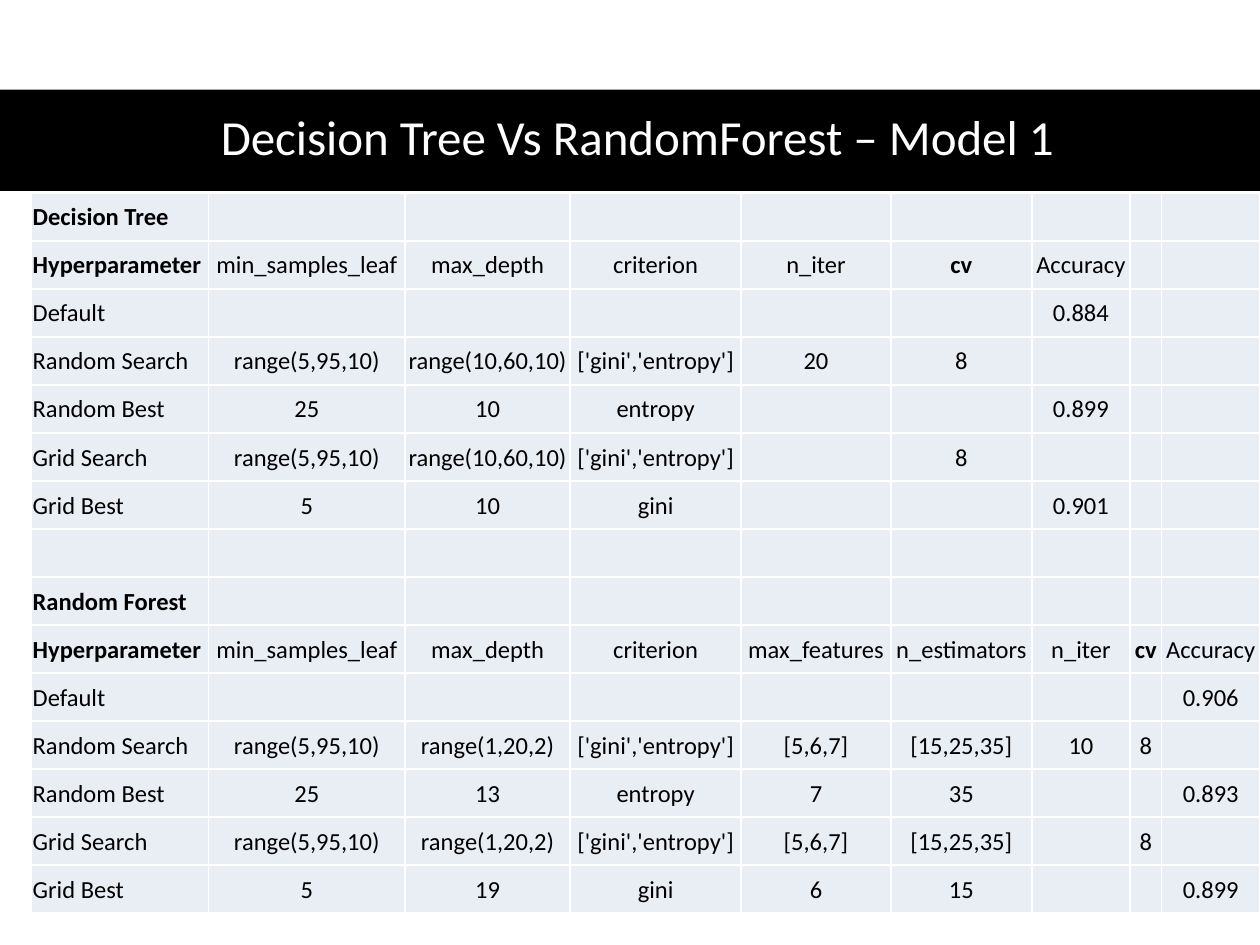
from pptx import Presentation
from pptx.dml.color import RGBColor
from pptx.enum import shapes, text
from pptx.util import Pt

# Content
TITLE = "Decision Tree Vs RandomForest – Model 1"
LEAF_RANGE = "range(5,95,10)"
TREE_DEPTHS, FOREST_DEPTHS = "range(10,60,10)", "range(1,20,2)"
CRITERIA = "['gini','entropy']"
FEATURES, ESTIMATORS = "[5,6,7]", "[15,25,35]"
ROWS = [
    ["Decision Tree"],
    ["Hyperparameter", "min_samples_leaf", "max_depth", "criterion", "n_iter", "cv", "Accuracy"],
    ["Default", "", "", "", "", "", "0.884"],
    ["Random Search", LEAF_RANGE, TREE_DEPTHS, CRITERIA, "20", "8"],
    ["Random Best", "25", "10", "entropy", "", "", "0.899"],
    ["Grid Search", LEAF_RANGE, TREE_DEPTHS, CRITERIA, "", "8"],
    ["Grid Best", "5", "10", "gini", "", "", "0.901"],
    [],
    ["Random Forest"],
    ["Hyperparameter", "min_samples_leaf", "max_depth", "criterion", "max_features",
     "n_estimators", "n_iter", "cv", "Accuracy"],
    ["Default", "", "", "", "", "", "", "", "0.906"],
    ["Random Search", LEAF_RANGE, FOREST_DEPTHS, CRITERIA, FEATURES, ESTIMATORS, "10", "8"],
    ["Random Best", "25", "13", "entropy", "7", "35", "", "", "0.893"],
    ["Grid Search", LEAF_RANGE, FOREST_DEPTHS, CRITERIA, FEATURES, ESTIMATORS, "", "8"],
    ["Grid Best", "5", "19", "gini", "6", "15", "", "", "0.899"],
]
BOLD = {"Decision Tree", "Random Forest", "Hyperparameter", "cv"}

# Layout in points
WIDTH, HEIGHT = 720, 540
COLUMN_WIDTHS = [101.2, 112.3, 94.3, 97.8, 85.5, 80.6, 56.1, 18.1, 56.1]
TABLE_LEFT, TABLE_TOP, ROW_HEIGHT = 18, 110.2, 27.46


def set_fill(part, colour):
    part.fill.solid()
    part.fill.fore_color.rgb = RGBColor.from_string(colour)


def set_font(paragraph, size, colour, bold=False):
    font = paragraph.font
    font.name, font.size, font.bold = "Calibri", Pt(size), bold
    font.color.rgb = RGBColor.from_string(colour)


prs = Presentation()
prs.slide_width, prs.slide_height = Pt(WIDTH), Pt(HEIGHT)
slide = prs.slides.add_slide(prs.slide_layouts[5])

# Title on a black band
band = slide.shapes.add_shape(shapes.MSO_SHAPE.RECTANGLE, 0, Pt(51.2), Pt(WIDTH), Pt(58))
band.shadow.inherit = False
set_fill(band, "000000")
band.line.fill.background()

title = slide.shapes.title
title._element.addprevious(band._element)
title.left, title.top, title.width, title.height = Pt(33), Pt(50.4), Pt(662.4), Pt(58.3)
title.text_frame.text = TITLE
title.text_frame.vertical_anchor = text.MSO_ANCHOR.MIDDLE
heading = title.text_frame.paragraphs[0]
heading.alignment = text.PP_ALIGN.CENTER
heading.line_spacing = 0.9
set_font(heading, 28, "FFFFFF")

# Results table
results = slide.shapes.add_table(
    len(ROWS), len(COLUMN_WIDTHS), Pt(TABLE_LEFT), Pt(TABLE_TOP),
    Pt(sum(COLUMN_WIDTHS)), Pt(ROW_HEIGHT * len(ROWS))).table
results.first_row = results.horz_banding = False
for column, width in zip(results.columns, COLUMN_WIDTHS):
    column.width = Pt(width)

for r, values in enumerate(ROWS):
    results.rows[r].height = Pt(ROW_HEIGHT)
    for c in range(len(COLUMN_WIDTHS)):
        cell = results.cell(r, c)
        set_fill(cell, "E9EDF4")
        cell.vertical_anchor = text.MSO_ANCHOR.MIDDLE
        cell.margin_left = cell.margin_right = cell.margin_top = Pt(0.7)
        cell.margin_bottom = 0
        if c < len(values) and values[c]:
            cell.text = values[c]
            entry = cell.text_frame.paragraphs[0]
            entry.alignment = text.PP_ALIGN.CENTER if c else text.PP_ALIGN.LEFT
            set_font(entry, 14, "000000", values[c] in BOLD)

prs.save("out.pptx")
